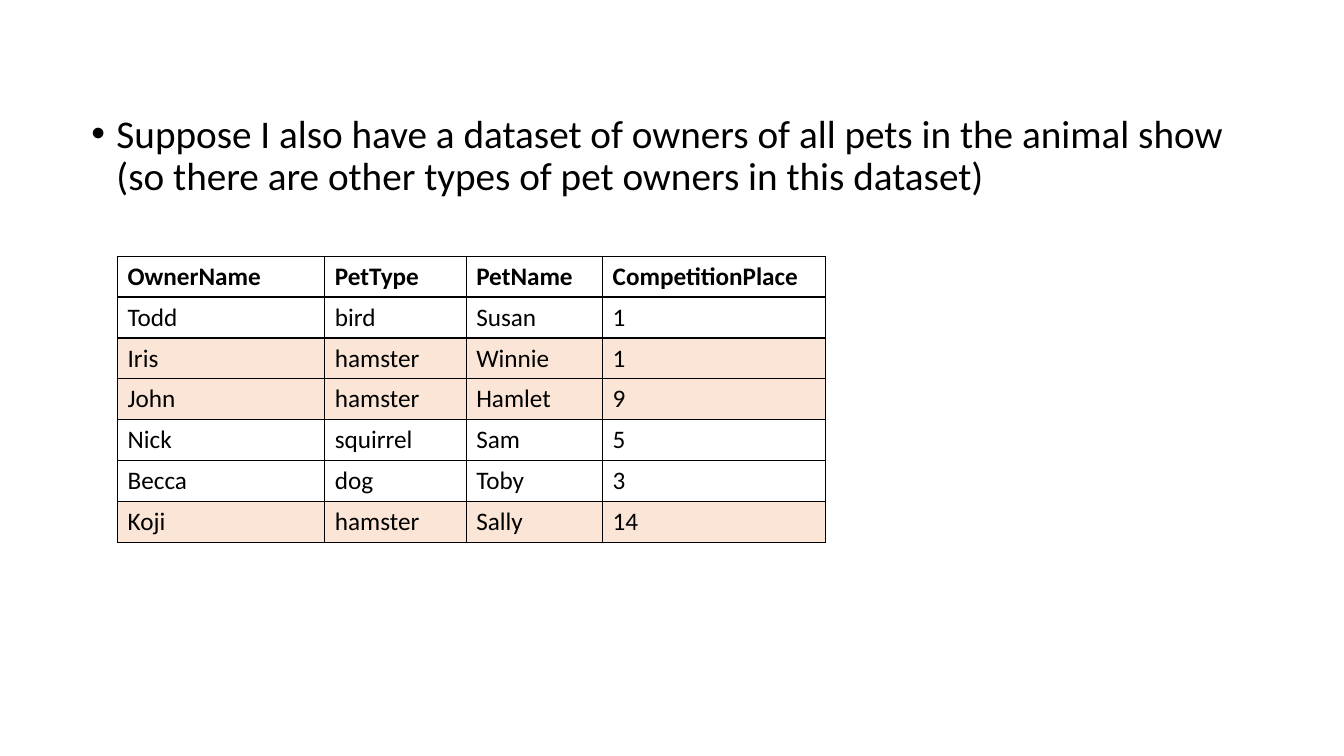
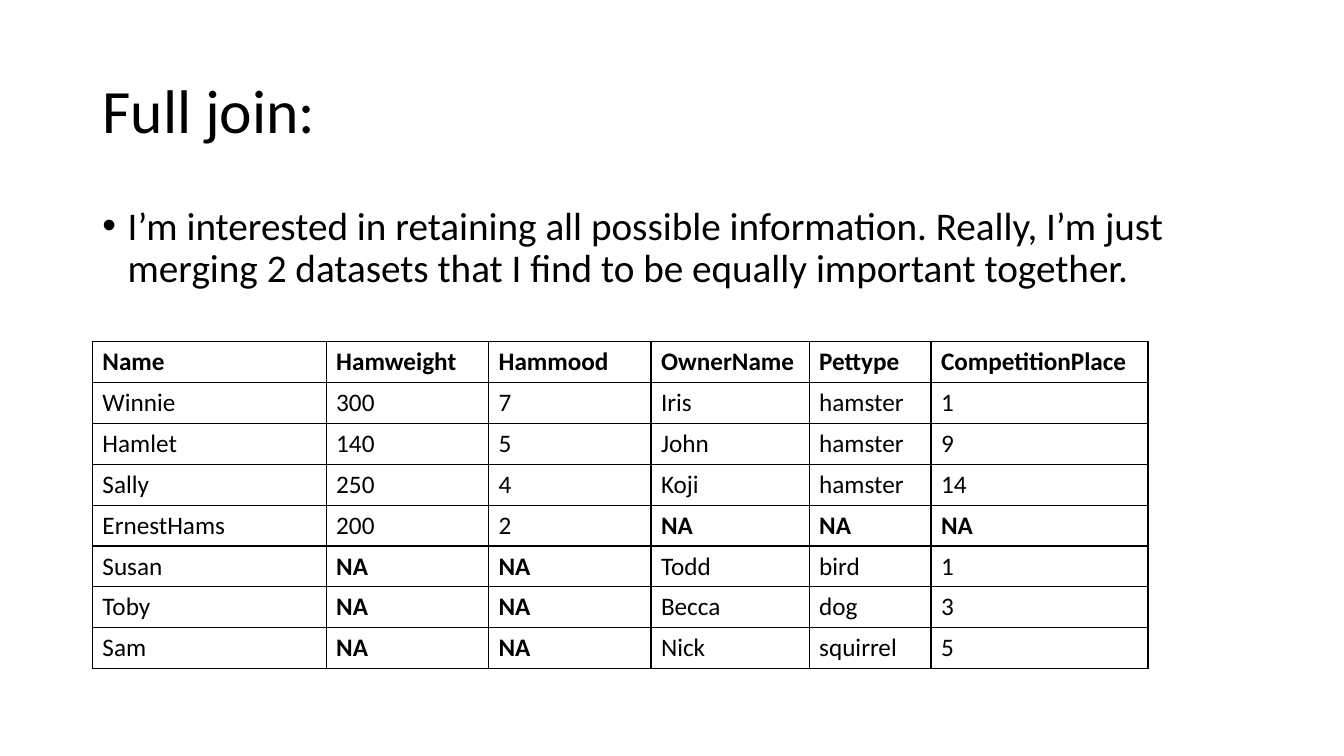
"""Build two slides on joining pet and owner datasets."""
from lxml.etree import SubElement
from pptx import Presentation
from pptx.dml.color import RGBColor
from pptx.enum.text import MSO_ANCHOR, MSO_AUTO_SIZE, PP_ALIGN
from pptx.oxml.ns import qn
from pptx.util import Pt

BLACK = RGBColor(0x00, 0x00, 0x00)
PEACH = RGBColor(0xFB, 0xE5, 0xD6)
FONT = "Calibri"
ROW_HEIGHT = 29.2
TEXT_WIDTH, TITLE_HEIGHT, BODY_HEIGHT = 828, 104, 343

SLIDES = [
    {
        "title": None,
        "body": "Suppose I also have a dataset of owners of all pets in the animal show "
                "(so there are other types of pet owners in this dataset)",
        "body_at": (58, 78),
        "table_at": (84, 183),
        "columns": [148, 101, 97.5, 159],
        "highlight": "hamster",
        "rows": [
            ("OwnerName", "PetType", "PetName", "CompetitionPlace"),
            ("Todd", "bird", "Susan", "1"),
            ("Iris", "hamster", "Winnie", "1"),
            ("John", "hamster", "Hamlet", "9"),
            ("Nick", "squirrel", "Sam", "5"),
            ("Becca", "dog", "Toby", "3"),
            ("Koji", "hamster", "Sally", "14"),
        ],
    },
    {
        "title": "Full join:",
        "title_at": (66, 29),
        "body": "I’m interested in retaining all possible information. Really, I’m just "
                "merging 2 datasets that I find to be equally important together.",
        "body_at": (66, 144),
        "table_at": (66, 244),
        "columns": [167, 116, 116, 113, 87, 155],
        "highlight": None,
        "rows": [
            ("Name", "Hamweight", "Hammood", "OwnerName", "Pettype", "CompetitionPlace"),
            ("Winnie", "300", "7", "Iris", "hamster", "1"),
            ("Hamlet", "140", "5", "John", "hamster", "9"),
            ("Sally", "250", "4", "Koji", "hamster", "14"),
            ("ErnestHams", "200", "2", "NA", "NA", "NA"),
            ("Susan", "NA", "NA", "Todd", "bird", "1"),
            ("Toby", "NA", "NA", "Becca", "dog", "3"),
            ("Sam", "NA", "NA", "Nick", "squirrel", "5"),
        ],
    },
]


def add_run(p, text, size, bold=False):
    r = p.add_run()
    r.text = text
    r.font.name, r.font.size, r.font.bold = FONT, Pt(size), bold
    r.font.color.rgb = BLACK


def fill_placeholder(sp, at, height, anchor, text, size):
    sp.left, sp.top = Pt(at[0]), Pt(at[1])
    sp.width, sp.height = Pt(TEXT_WIDTH), Pt(height)
    tf = sp.text_frame
    tf.word_wrap = True
    tf.auto_size = MSO_AUTO_SIZE.NONE
    tf.vertical_anchor = anchor
    p = tf.paragraphs[0]
    p.alignment = PP_ALIGN.LEFT
    p.line_spacing = 0.9
    add_run(p, text, size)
    return p


def add_title(s, text, at):
    fill_placeholder(s.shapes.title, at, TITLE_HEIGHT, MSO_ANCHOR.MIDDLE, text, 44)


def add_body(s, text, at):
    p = fill_placeholder(s.placeholders[1], at, BODY_HEIGHT, MSO_ANCHOR.TOP, text, 28)
    p.space_before = Pt(10)
    pPr = p._p.get_or_add_pPr()
    pPr.set("marL", str(Pt(18)))
    pPr.set("indent", str(Pt(-18)))
    SubElement(pPr, qn("a:buFont")).set("typeface", "Arial")
    SubElement(pPr, qn("a:buChar")).set("char", "•")


def add_borders(cell):
    tcPr = cell._tc.get_or_add_tcPr()
    for side in ("lnL", "lnR", "lnT", "lnB"):
        ln = SubElement(tcPr, qn(f"a:{side}"), w=str(Pt(1)))
        color = SubElement(SubElement(ln, qn("a:solidFill")), qn("a:srgbClr"))
        color.set("val", str(BLACK))


def add_data_table(s, rows, columns, at, highlight):
    frame = s.shapes.add_table(len(rows), len(columns), Pt(at[0]), Pt(at[1]),
                               Pt(sum(columns)), Pt(ROW_HEIGHT * len(rows)))
    table = frame.table
    table.first_row = table.horz_banding = False
    for column, width in zip(table.columns, columns):
        column.width = Pt(width)
    for i, values in enumerate(rows):
        table.rows[i].height = Pt(ROW_HEIGHT)
        for j, value in enumerate(values):
            cell = table.cell(i, j)
            add_borders(cell)
            if highlight in values:
                cell.fill.solid()
                cell.fill.fore_color.rgb = PEACH
            else:
                cell.fill.background()
            add_run(cell.text_frame.paragraphs[0], value, 18, i == 0 or value == "NA")


prs = Presentation()
prs.slide_width, prs.slide_height = Pt(960), Pt(540)
for content in SLIDES:
    s = prs.slides.add_slide(prs.slide_layouts[1])
    if content["title"]:
        add_title(s, content["title"], content["title_at"])
    else:
        title = s.shapes.title.element
        title.getparent().remove(title)
    add_body(s, content["body"], content["body_at"])
    add_data_table(s, content["rows"], content["columns"], content["table_at"],
                   content["highlight"])
prs.save("out.pptx")
